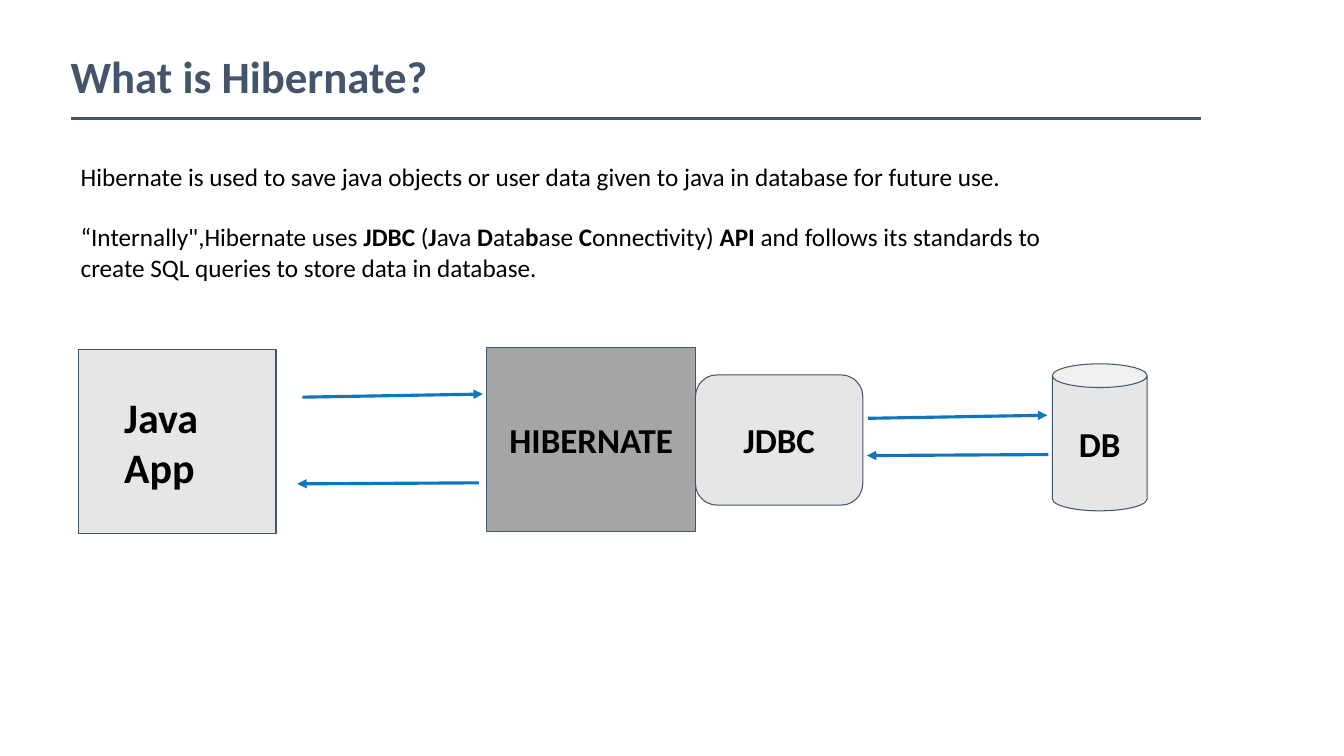
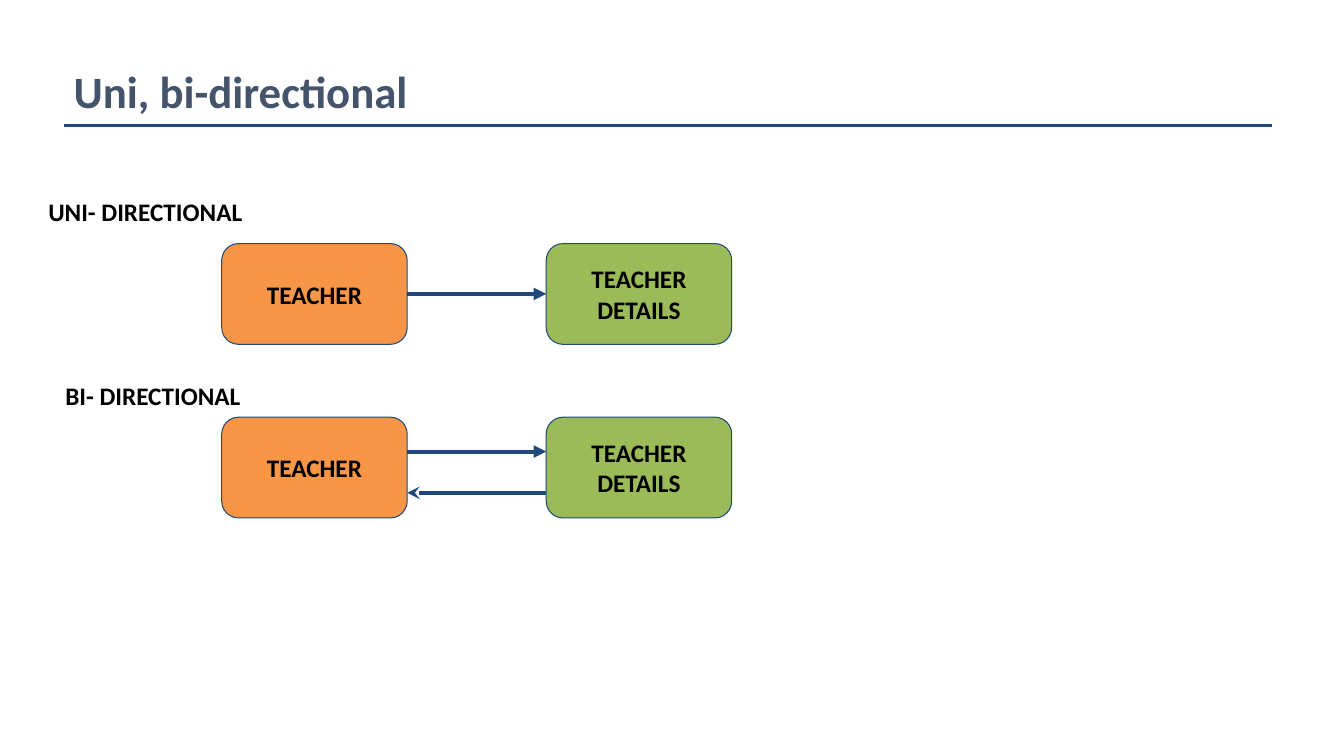
from pptx import Presentation
from pptx.dml.color import RGBColor
from pptx.enum.shapes import MSO_CONNECTOR as CONN, MSO_SHAPE as SHAPE
from pptx.enum.text import MSO_ANCHOR as ANCHOR, MSO_AUTO_SIZE as FIT, PP_ALIGN as ALIGN
from pptx.oxml.ns import qn
from pptx.util import Pt
from lxml.etree import SubElement

FONT = "Calibri"
SLATE, NAVY, BLUE, BLACK = "44546A", "1F497D", "0F75BD", "000000"
PALE, GRAY, ORANGE, GREEN = "E7E6E6", "A5A5A5", "F79646", "9BBB59"


def rgb(color):
    return RGBColor.from_string(color)


def place(sp, x, y, w, h):
    sp.left, sp.top, sp.width, sp.height = Pt(x), Pt(y), Pt(w), Pt(h)


def write(sp, paras, size, color=BLACK, align=ALIGN.LEFT, anchor=ANCHOR.MIDDLE, pad=7.2, gap=0):
    tf = sp.text_frame
    tf.word_wrap, tf.auto_size, tf.vertical_anchor = True, FIT.NONE, anchor
    tf.margin_left = Pt(pad)
    tf.margin_right = tf.margin_top = tf.margin_bottom = Pt(7.2)
    for i, runs in enumerate(paras):
        p = tf.add_paragraph() if i else tf.paragraphs[0]
        p.alignment = align
        p.space_before = Pt(gap if i else 0)
        for text, bold in runs:
            r = p.add_run()
            r.text = text
            r.font.name, r.font.size, r.font.bold = FONT, Pt(size), bold
            r.font.color.rgb = rgb(color)


def bold_lines(*lines):
    return [[(line, True)] for line in lines]


def add_line(s, x1, y1, x2, y2, color, width, arrow=None):
    ln = s.shapes.add_connector(CONN.STRAIGHT, Pt(x1), Pt(y1), Pt(x2), Pt(y2))
    ln.line.color.rgb, ln.line.width = rgb(color), Pt(width)
    if arrow:
        SubElement(ln.line._get_or_add_ln(), qn("a:tailEnd"), type=arrow)
    SubElement(ln._element.spPr, qn("a:effectLst"))


def add_node(s, kind, x, y, w, h, fill, edge, lines, size, align=ALIGN.CENTER, pad=7.2):
    sp = s.shapes.add_shape(kind, Pt(x), Pt(y), Pt(w), Pt(h))
    sp.shadow.inherit = False
    sp.fill.solid()
    sp.fill.fore_color.rgb = rgb(fill)
    sp.line.color.rgb, sp.line.width = rgb(edge), Pt(0.75)
    write(sp, bold_lines(*lines), size, align=align, pad=pad)


def add_heading(s, text, x, y, w, rule):
    place(s.shapes.title, x, y, w, 46)
    write(s.shapes.title, bold_lines(text), 32, SLATE)
    left, right, level, color = rule
    add_line(s, left, level, right, level, color, 2.25)


def add_body(s, paras, x, y, w, h):
    body = s.placeholders[1]
    place(body, x, y, w, h)
    write(body, paras, 18, anchor=ANCHOR.TOP, gap=21.5)
    for p in body.text_frame.paragraphs:
        pPr = p._p.get_or_add_pPr()
        pPr.set("marL", "0")
        pPr.set("indent", "0")
        SubElement(pPr, qn("a:buNone"))


def add_architecture(s, x, y):
    add_node(s, SHAPE.RECTANGLE, x, y + 1.4, 141, 131, PALE, SLATE, ["Java", "App"], 30, ALIGN.LEFT, 32.5)
    for kind, dx, dy, w, h, fill, label in (
        (SHAPE.RECTANGLE, 291.6, 0, 149, 131, GRAY, "HIBERNATE"),
        (SHAPE.ROUNDED_RECTANGLE, 440.6, 19.4, 119.5, 93, PALE, "JDBC"),
        (SHAPE.CAN, 695.5, 11.5, 67.7, 105, PALE, "DB"),
    ):
        add_node(s, kind, x + dx, y + dy, w, h, fill, SLATE, [label], 25)
    for x1, y1, x2, y2 in (
        (159.8, 35.3, 288.7, 33.1), (285.8, 96.5, 156.2, 97.2),
        (563.7, 50.4, 691.9, 48.2), (692.6, 76.3, 563, 77),
    ):
        add_line(s, x + x1, y + y1, x + x2, y + y2, BLUE, 2.25, "triangle")


def add_relation(s, x, y, label, label_dx, label_dy, arrows):
    w, h, step = 132.5, 72, 231.8
    box = s.shapes.add_textbox(Pt(x + label_dx), Pt(y + label_dy), Pt(236), Pt(36))
    write(box, bold_lines(label), 18, anchor=ANCHOR.TOP)
    for i, (fill, lines) in enumerate(((ORANGE, ["TEACHER"]), (GREEN, ["TEACHER", "DETAILS"]))):
        add_node(s, SHAPE.ROUNDED_RECTANGLE, x + i * step, y, w, h, fill, NAVY, lines, 18)
    for dy, forward, arrow in arrows:
        ends = (x + w, x + step) if forward else (x + step, x + w)
        add_line(s, ends[0], y + dy, ends[1], y + dy, NAVY, 3, arrow)


def hibernate_slide(prs):
    s = prs.slides.add_slide(prs.slide_layouts[1])
    add_heading(s, "What is Hibernate?", 43.2, 31, 630, (50.4, 858, 84.5, SLATE))
    add_body(s, [
        [("Hibernate is used to save java objects or user data given to java in database for future use.", False)],
        [("“Internally\",Hibernate uses ", False), ("JDBC ", True), ("(", False), ("J", True),
         ("ava ", False), ("D", True), ("ata", False), ("b", True), ("ase ", False), ("C", True),
         ("onnectivity) ", False), ("API ", True),
         ("and follows its standards to create SQL queries to store data in database.", False)],
    ], 50.4, 108, 731, 101.5)
    add_architecture(s, 56.2, 248.4)


def direction_slide(prs):
    s = prs.slides.add_slide(prs.slide_layouts[5])
    add_heading(s, "Uni, bi-directional", 45.4, 41.5, 808, (46, 908.6, 89.7, NAVY))
    add_relation(s, 158.4, 174, "UNI- DIRECTIONAL", -131, -40.8, [(36, True, "triangle")])
    add_relation(s, 158.4, 298, "BI- DIRECTIONAL", -118.8, -33.8,
                 [(24.6, True, "triangle"), (54, False, "stealth")])


prs = Presentation()
prs.slide_width, prs.slide_height = Pt(960), Pt(540)
hibernate_slide(prs)
direction_slide(prs)
prs.save("out.pptx")
